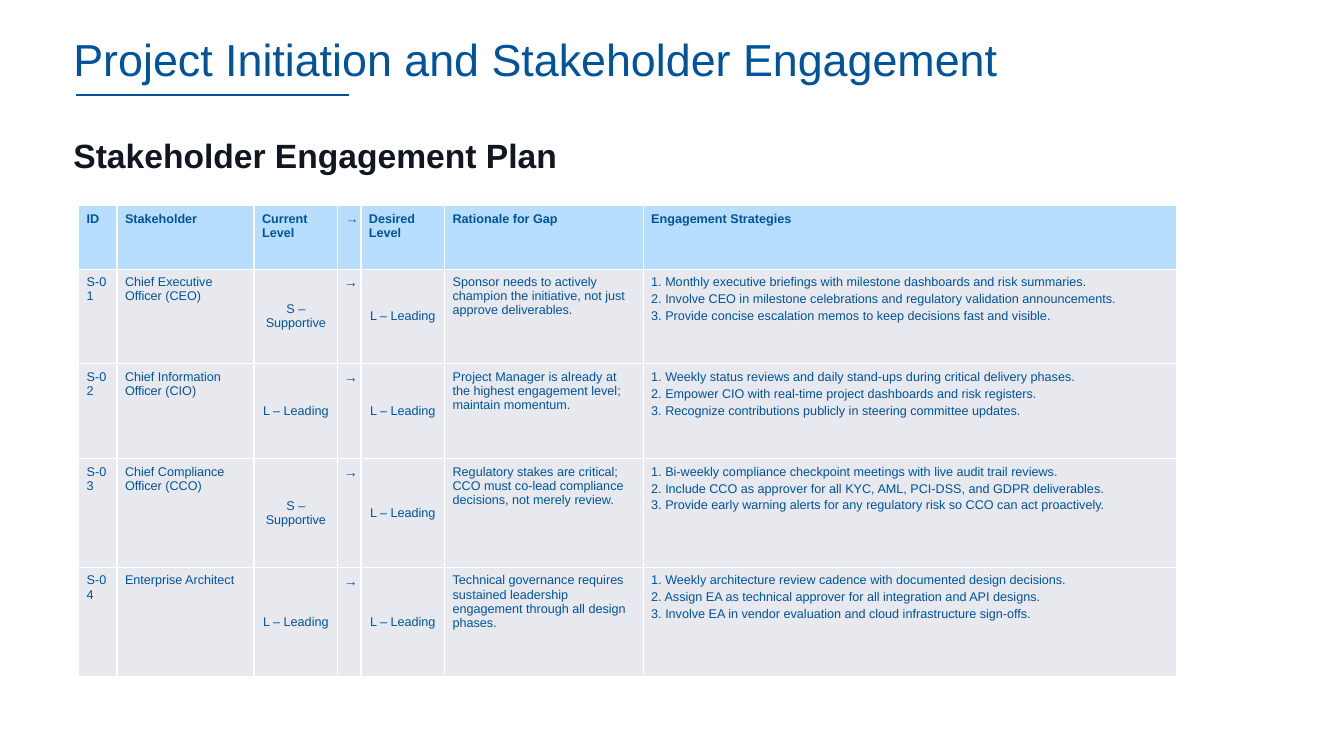
from lxml.etree import SubElement
from pptx import Presentation
from pptx.dml.color import RGBColor
from pptx.enum.shapes import MSO_CONNECTOR as Connector
from pptx.enum.text import MSO_ANCHOR as Anchor, PP_ALIGN as Align
from pptx.oxml import parse_xml
from pptx.oxml.ns import nsdecls, qn
from pptx.util import Pt

PX = 9144
FONT = "Arial"
BLUE = RGBColor(0x00, 0x53, 0x9A)
INK = RGBColor(0x11, 0x16, 0x20)
SKY = RGBColor(0xB8, 0xDE, 0xFF)
GREY = RGBColor(0xE7, 0xE9, 0xEF)
WHITE = RGBColor(0xFF, 0xFF, 0xFF)

COLUMNS = [38, 136, 83, 23, 83, 197, 529]
ROWS = [63, 94, 94, 108, 108]
ARROW = "→"
SUPPORTIVE = "S – Supportive"
LEADING = "L – Leading"
HEADINGS = ["ID", "Stakeholder", "Current Level", ARROW, "Desired Level",
            "Rationale for Gap", "Engagement Strategies"]
STAKEHOLDERS = [
    ("Chief Executive Officer (CEO)", SUPPORTIVE,
     "Sponsor needs to actively champion the initiative, not just approve deliverables.",
     ["Monthly executive briefings with milestone dashboards and risk summaries.",
      "Involve CEO in milestone celebrations and regulatory validation announcements.",
      "Provide concise escalation memos to keep decisions fast and visible."]),
    ("Chief Information Officer (CIO)", LEADING,
     "Project Manager is already at the highest engagement level; maintain momentum.",
     ["Weekly status reviews and daily stand-ups during critical delivery phases.",
      "Empower CIO with real-time project dashboards and risk registers.",
      "Recognize contributions publicly in steering committee updates."]),
    ("Chief Compliance Officer (CCO)", SUPPORTIVE,
     "Regulatory stakes are critical; CCO must co-lead compliance decisions, not merely review.",
     ["Bi-weekly compliance checkpoint meetings with live audit trail reviews.",
      "Include CCO as approver for all KYC, AML, PCI-DSS, and GDPR deliverables.",
      "Provide early warning alerts for any regulatory risk so CCO can act proactively."]),
    ("Enterprise Architect", LEADING,
     "Technical governance requires sustained leadership engagement through all design phases.",
     ["Weekly architecture review cadence with documented design decisions.",
      "Assign EA as technical approver for all integration and API designs.",
      "Involve EA in vendor evaluation and cloud infrastructure sign-offs."]),
]


def add_span(para, text, size, color, bold=False):
    span = para.add_run()
    span.text = text
    span.font.name = FONT
    span.font.size = Pt(size)
    span.font.bold = bold
    span.font.color.rgb = color


def add_heading(page, box, text, size, color, bold=False, anchor=Anchor.TOP, before=0):
    frame = page.shapes.add_textbox(*[n * PX for n in box]).text_frame
    frame.word_wrap = True
    frame.vertical_anchor = anchor
    para = frame.paragraphs[0]
    para.line_spacing = 0.9
    para.space_before = Pt(before)
    add_span(para, text, size, color, bold)


def add_title(page, box):
    left, top, width, height = box
    add_heading(page, box, "Project Initiation and Stakeholder Engagement",
                32, BLUE, anchor=Anchor.MIDDLE)
    rule_left, rule_top = left + 12, top + 79
    rule = page.shapes.add_connector(
        Connector.STRAIGHT, rule_left * PX, rule_top * PX,
        (rule_left + 271) * PX, rule_top * PX)
    rule.line.color.rgb = BLUE
    rule.line.width = Pt(1.5)
    SubElement(rule._element.spPr, qn("a:effectLst"))


def add_borders(cell):
    properties = cell._tc.get_or_add_tcPr()
    for index, side in enumerate("LRTB"):
        properties.insert(index, parse_xml(
            f'<a:ln{side} {nsdecls("a")} w="{Pt(1)}"><a:solidFill>'
            f'<a:srgbClr val="{WHITE}"/></a:solidFill></a:ln{side}>'))


def fill_cell(cell, lines, header, column):
    is_arrow = not header and column == 3
    is_level = not header and column in (2, 4)
    cell.fill.solid()
    cell.fill.fore_color.rgb = SKY if header else GREY
    add_borders(cell)
    cell.margin_left = cell.margin_right = (6 if is_arrow else 8) * PX
    cell.margin_top = cell.margin_bottom = 6 * PX
    cell.vertical_anchor = Anchor.MIDDLE if is_level else Anchor.TOP
    frame = cell.text_frame
    for index, line in enumerate(lines):
        para = frame.add_paragraph() if index else frame.paragraphs[0]
        para.alignment = Align.CENTER if is_arrow or is_level else Align.LEFT
        if index:
            para.space_before = Pt(2)
        add_span(para, line, 10 if is_arrow else 9, BLUE, header)


def add_plan_table(page, box):
    table = page.shapes.add_table(
        len(ROWS), len(COLUMNS), *[n * PX for n in box]).table
    table.horz_banding = False
    for column, width in zip(table.columns, COLUMNS):
        column.width = width * PX
    for row, height in zip(table.rows, ROWS):
        row.height = height * PX
    content = [[[heading] for heading in HEADINGS]]
    for number, (name, current, rationale, strategies) in enumerate(STAKEHOLDERS, 1):
        steps = [f"{step}. {text}" for step, text in enumerate(strategies, 1)]
        content.append([[f"S-{number:02}"], [name], [current], [ARROW],
                        [LEADING], [rationale], steps])
    for r, row in enumerate(content):
        for c, lines in enumerate(row):
            fill_cell(table.cell(r, c), lines, r == 0, c)


def main():
    deck = Presentation()
    deck.slide_width = 1333 * PX
    deck.slide_height = 750 * PX
    page = deck.slides.add_slide(deck.slide_layouts[6])
    add_title(page, (63, 15, 1073, 93))
    add_heading(page, (63, 133, 1166, 493), "Stakeholder Engagement Plan",
                24, INK, bold=True, before=10)
    add_plan_table(page, (78, 204, sum(COLUMNS), sum(ROWS)))
    deck.save("out.pptx")


if __name__ == "__main__":
    main()
